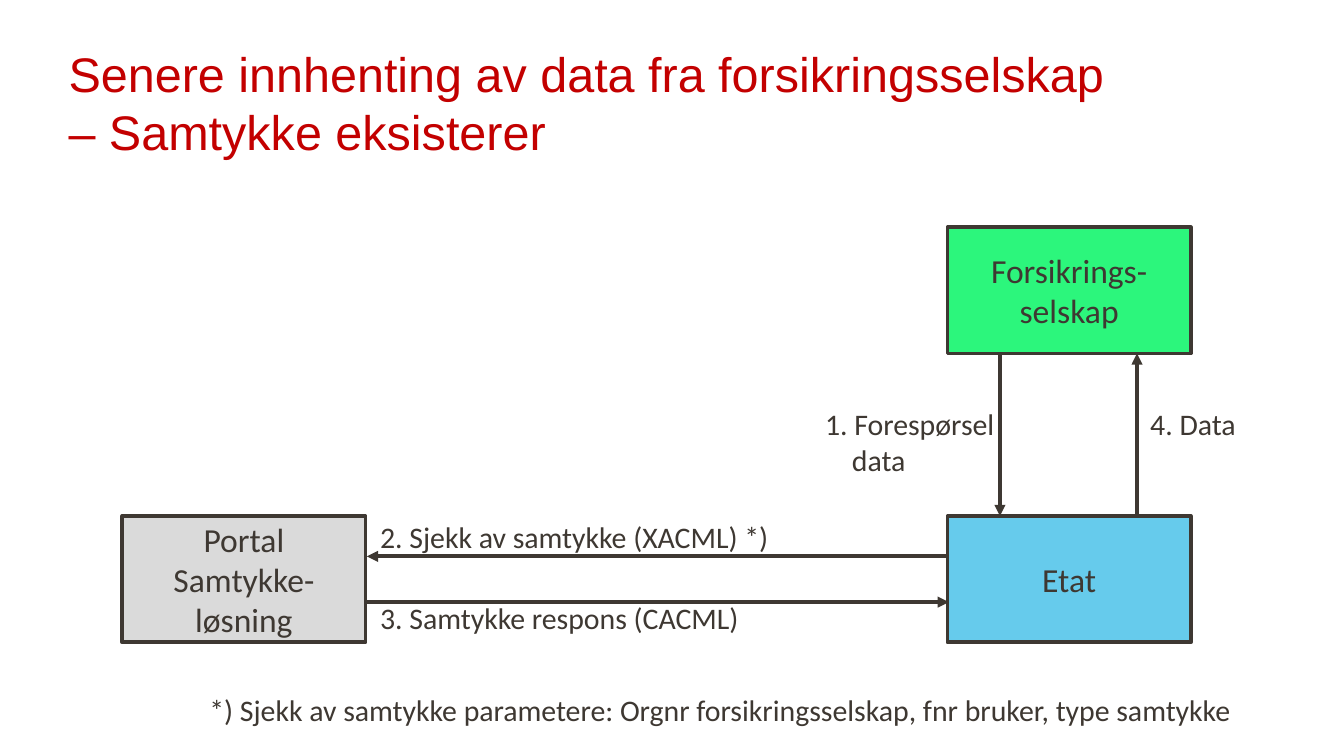
from lxml.etree import SubElement
from pptx import Presentation
from pptx.dml.color import RGBColor
from pptx.enum.shapes import MSO_CONNECTOR, MSO_SHAPE
from pptx.enum.text import MSO_ANCHOR, PP_ALIGN
from pptx.oxml.ns import qn
from pptx.util import Inches, Pt

# Content
TITLE = "Senere innhenting av data fra forsikringsselskap\v– Samtykke eksisterer"
DARK, RED = "3E3832", "C30000"
BOX_WIDTH, BOX_HEIGHT = 1.81, 0.94
LEFT_COLUMN, RIGHT_COLUMN = 0.91, 7.05
TOP_ROW, BOTTOM_ROW = 1.69, 3.84
BOXES = [  # text, left, top, fill
    ("Forsikrings-selskap", RIGHT_COLUMN, TOP_ROW, "2CF67C"),
    ("Etat", RIGHT_COLUMN, BOTTOM_ROW, "66CBEC"),
    ("Portal Samtykke-løsning", LEFT_COLUMN, BOTTOM_ROW, "DADADA"),
]
LABELS = [  # lines, left, top, width, height
    (["1. Forespørsel", "data"], 6.04, 2.97, 1.48, 0.64),
    (["4. Data"], 8.46, 2.97, 0.85, 0.37),
    (["2. Sjekk av samtykke (XACML) *)"], 2.73, 3.81, 3.13, 0.37),
    (["3. Samtykke respons (CACML)"], 2.73, 4.41, 2.9, 0.37),
    (["*) Sjekk av samtykke parametere: Orgnr forsikringsselskap, "
      "fnr bruker, type samtykke"], 1.46, 5.1, 7.9, 0.37),
]
# Arrows run in the gaps between the boxes
GAP_TOP, GAP_BOTTOM = TOP_ROW + BOX_HEIGHT, BOTTOM_ROW
GAP_LEFT, GAP_RIGHT = 2.73, 7.06
ARROWS = [  # start, end
    ((7.44, GAP_TOP), (7.44, GAP_BOTTOM)),
    ((8.46, GAP_BOTTOM), (8.46, GAP_TOP)),
    ((GAP_RIGHT, 4.14), (GAP_LEFT, 4.14)),
    ((GAP_LEFT, 4.48), (GAP_RIGHT, 4.48)),
]


def color(hex_value):
    return RGBColor.from_string(hex_value)


def format_text(text_frame, size, font_name, hex_value, alignment):
    for paragraph in text_frame.paragraphs:
        paragraph.alignment = alignment
        for run in paragraph.runs:
            run.font.size = Pt(size)
            run.font.name = font_name
            run.font.color.rgb = color(hex_value)


def format_line(line):
    line.color.rgb = color(DARK)
    line.width = Pt(2)


def add_box(slide, text, left, top, fill):
    shape = slide.shapes.add_shape(MSO_SHAPE.RECTANGLE, Inches(left), Inches(top),
                                   Inches(BOX_WIDTH), Inches(BOX_HEIGHT))
    shape.shadow.inherit = False
    shape.fill.solid()
    shape.fill.fore_color.rgb = color(fill)
    format_line(shape.line)
    shape.text_frame.text = text
    shape.text_frame.word_wrap = True
    shape.text_frame.vertical_anchor = MSO_ANCHOR.MIDDLE
    format_text(shape.text_frame, 18, "Calibri", DARK, PP_ALIGN.CENTER)


def add_arrow(slide, start, end):
    connector = slide.shapes.add_connector(
        MSO_CONNECTOR.STRAIGHT, *[Inches(value) for value in start + end])
    format_line(connector.line)
    properties = connector._element.spPr
    SubElement(properties.get_or_add_ln(), qn("a:tailEnd"), type="triangle")
    SubElement(properties, qn("a:effectLst"))


def add_label(slide, lines, *place):
    text_frame = slide.shapes.add_textbox(*[Inches(value) for value in place]).text_frame
    text_frame.word_wrap = False
    text_frame.text = "\n".join(lines)
    format_text(text_frame, 16, "Calibri", DARK, PP_ALIGN.LEFT)
    # Continuation lines are indented past the number
    for paragraph in text_frame.paragraphs[1:]:
        paragraph._p.get_or_add_pPr().set("marL", str(Inches(0.2)))


def main():
    # Widescreen slide, 16:9
    presentation = Presentation()
    presentation.slide_width = Inches(10)
    presentation.slide_height = Inches(10) * 9 // 16
    slide = presentation.slides.add_slide(presentation.slide_layouts[5])

    # Title
    title = slide.shapes.title
    title.left, title.top = Inches(0.41), Inches(0.2)
    title.width, title.height = Inches(9.17), Inches(1.04)
    title.text_frame.text = TITLE
    title.text_frame.vertical_anchor = MSO_ANCHOR.BOTTOM
    format_text(title.text_frame, 26, "Arial", RED, PP_ALIGN.LEFT)

    # Diagram
    for box in BOXES:
        add_box(slide, *box)
    for arrow in ARROWS:
        add_arrow(slide, *arrow)
    for label in LABELS:
        add_label(slide, *label)

    presentation.save("out.pptx")


if __name__ == "__main__":
    main()
